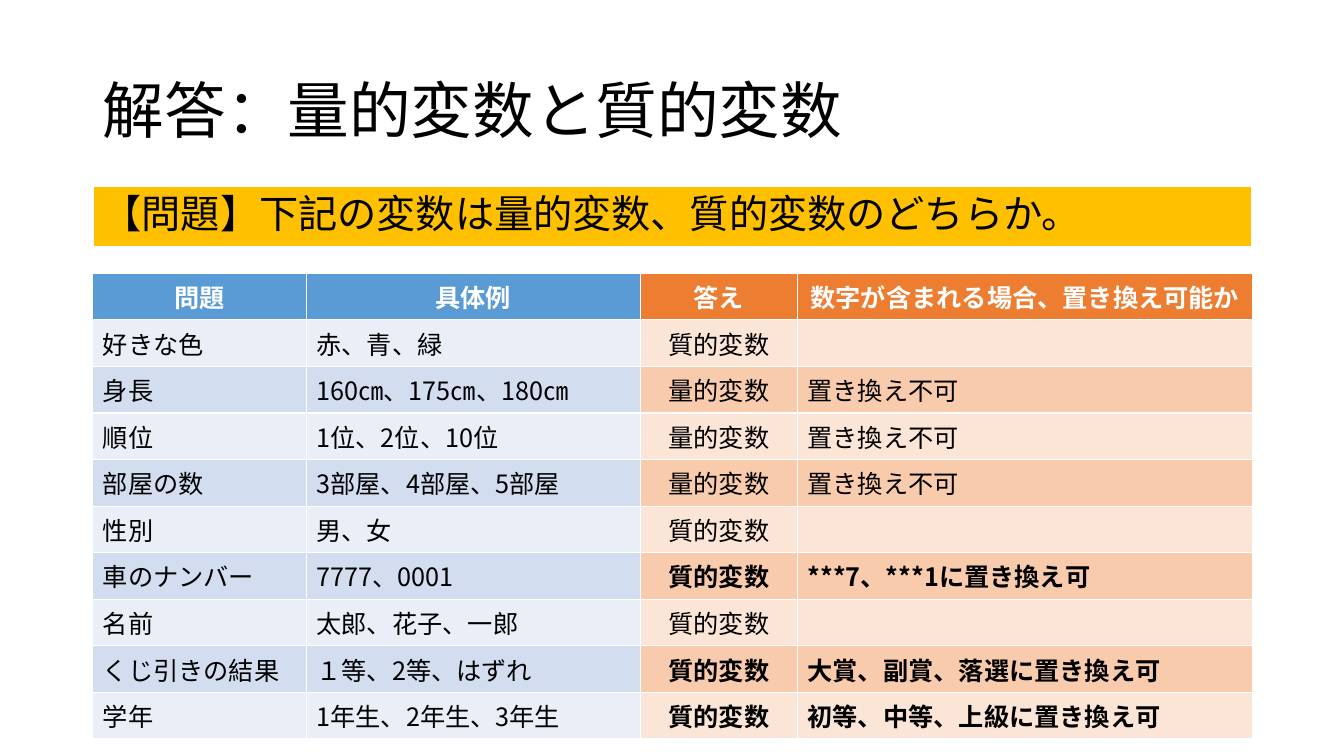
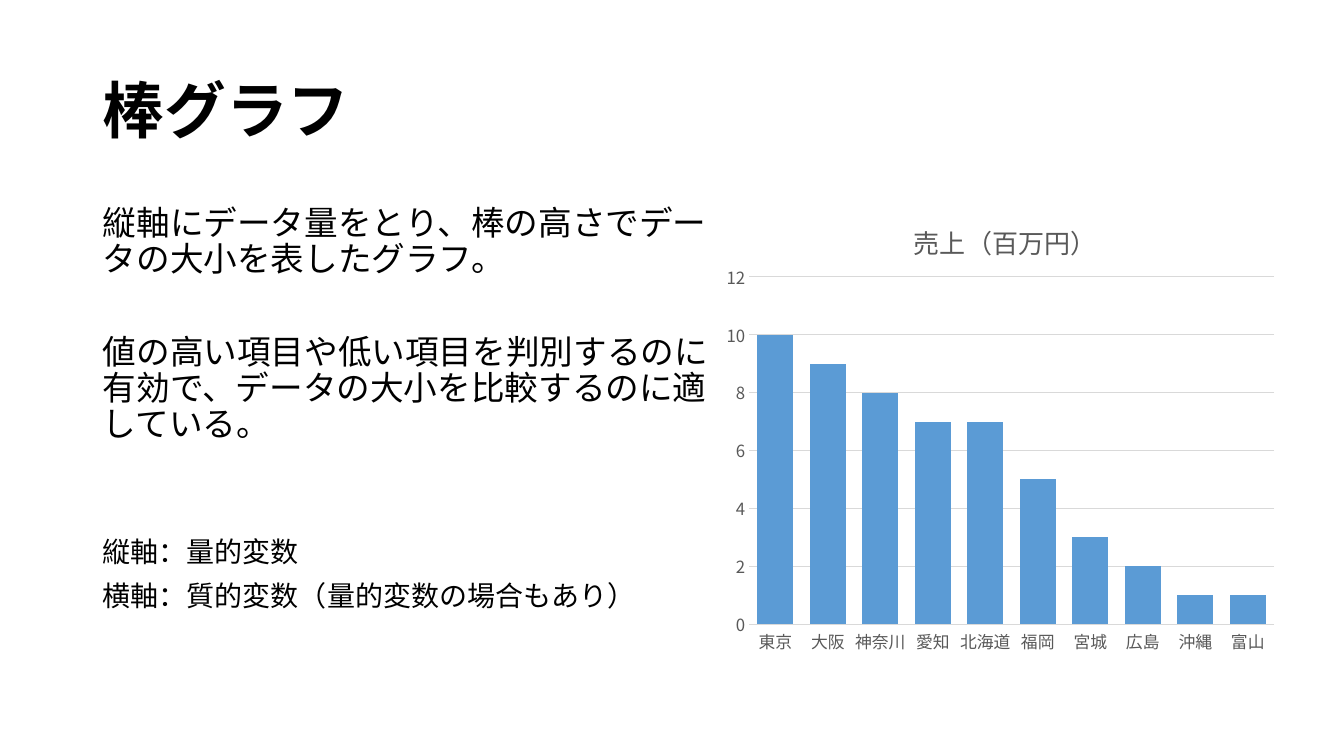
from lxml.etree import SubElement
from pptx import Presentation
from pptx.chart.data import CategoryChartData
from pptx.dml.color import RGBColor
from pptx.enum.chart import XL_CHART_TYPE as ChartType, XL_TICK_MARK as TickMark
from pptx.enum.shapes import MSO_SHAPE as Preset
from pptx.enum.text import MSO_ANCHOR as Anchor, MSO_AUTO_SIZE as AutoSize, PP_ALIGN as Align
from pptx.oxml import parse_xml
from pptx.oxml.ns import qn
from pptx.util import Inches, Pt

FONT = "Noto Sans CJK JP"
COLORS = {
    "text": "000000", "white": "FFFFFF", "band": "FFC000",
    "blue": "5B9BD5", "blue_light": "EAEFF7", "blue_mid": "D2DEEF",
    "orange": "ED7D31", "orange_light": "FBE5D6", "orange_mid": "F8CBAD",
    "label": "595959", "grid": "D9D9D9",
}
LEFT, WIDTH = 0.92, 11.5
CHART_NS = "http://schemas.openxmlformats.org/drawingml/2006/chart"

COLUMN_WIDTHS = [2.12, 3.31, 1.56, 4.51]
ROW_HEIGHT = 0.41
HEADER = ["問題", "具体例", "答え", "数字が含まれる場合、置き換え可能か"]
ANSWERS = [
    ["好きな色", "赤、青、緑", "質的変数", ""],
    ["身長", "160㎝、175㎝、180㎝", "量的変数", "置き換え不可"],
    ["順位", "1位、2位、10位", "量的変数", "置き換え不可"],
    ["部屋の数", "3部屋、4部屋、5部屋", "量的変数", "置き換え不可"],
    ["性別", "男、女", "質的変数", ""],
    ["車のナンバー", "7777、0001", "質的変数", "***7、***1に置き換え可"],
    ["名前", "太郎、花子、一郎", "質的変数", ""],
    ["くじ引きの結果", "１等、2等、はずれ", "質的変数", "大賞、副賞、落選に置き換え可"],
    ["学年", "1年生、2年生、3年生", "質的変数", "初等、中等、上級に置き換え可"],
]
SALES = {"東京": 10, "大阪": 9, "神奈川": 8, "愛知": 7, "北海道": 7,
         "福岡": 5, "宮城": 3, "広島": 2, "沖縄": 1, "富山": 1}


def rgb(name):
    return RGBColor.from_string(COLORS[name])


def style_font(font, size, color="text", bold=False):
    font.name = FONT
    font.size = Pt(size)
    font.bold = bold
    font.color.rgb = rgb(color)
    SubElement(font._element, qn("a:ea")).set("typeface", FONT)


def place(shape, left, top, width, height):
    shape.left, shape.top = Inches(left), Inches(top)
    shape.width, shape.height = Inches(width), Inches(height)


def write(text_frame, lines, size, bold=False, before=10, gap=10, anchor=Anchor.TOP):
    text_frame.text = "\n".join(lines)
    text_frame.word_wrap = True
    text_frame.auto_size = AutoSize.NONE
    text_frame.vertical_anchor = anchor
    for index, paragraph in enumerate(text_frame.paragraphs):
        paragraph.alignment = Align.LEFT
        paragraph.line_spacing = 0.9
        paragraph.space_before = Pt(gap if index else before)
        for run in paragraph.runs:
            style_font(run.font, size, bold=bold)


def add_slide(presentation, layout_index, title, bold=False):
    slide = presentation.slides.add_slide(presentation.slide_layouts[layout_index])
    place(slide.shapes.title, LEFT, 0.4, WIDTH, 1.45)
    write(slide.shapes.title.text_frame, [title], 44, bold, before=0, anchor=Anchor.MIDDLE)
    return slide


def add_band(slide, text):
    band = slide.shapes.add_shape(
        Preset.RECTANGLE, Inches(LEFT), Inches(1.84), Inches(WIDTH), Inches(0.61))
    band.shadow.inherit = False
    band.fill.solid()
    band.fill.fore_color.rgb = rgb("band")
    band.line.color.rgb = rgb("white")
    band.line.width = Pt(1.5)
    write(band.text_frame, [text], 28, anchor=Anchor.MIDDLE)


def add_borders(cell):
    properties = cell._tc.get_or_add_tcPr()
    for side in ("lnL", "lnR", "lnT", "lnB"):
        line = SubElement(properties, qn(f"a:{side}"), w=str(Pt(1)))
        fill = SubElement(line, qn("a:solidFill"))
        SubElement(fill, qn("a:srgbClr"), val=COLORS["white"])


def fill_cell(cell, text, fill, color, bold, centered):
    add_borders(cell)
    cell.fill.solid()
    cell.fill.fore_color.rgb = rgb(fill)
    cell.text_frame.text = text
    paragraph = cell.text_frame.paragraphs[0]
    paragraph.alignment = Align.CENTER if centered else Align.LEFT
    for run in paragraph.runs:
        style_font(run.font, 18, color, bold)


def add_answer_table(slide):
    rows = [HEADER] + ANSWERS
    table = slide.shapes.add_table(
        len(rows), len(HEADER), Inches(LEFT), Inches(2.71),
        Inches(WIDTH), Inches(ROW_HEIGHT * len(rows))).table
    for column, width in zip(table.columns, COLUMN_WIDTHS):
        column.width = Inches(width)
    for row_index, values in enumerate(rows):
        table.rows[row_index].height = Inches(ROW_HEIGHT)
        is_header = row_index == 0
        shade = "" if is_header else ("_light" if row_index % 2 else "_mid")
        replaceable = values[-1].endswith("置き換え可")
        for column_index, text in enumerate(values):
            is_answer = column_index >= 2
            fill_cell(
                table.cell(row_index, column_index), text,
                ("orange" if is_answer else "blue") + shade,
                "white" if is_header else "text",
                is_header or (is_answer and replaceable),
                is_header or column_index == 2)


def set_layout(element, index, **fractions):
    for layout in element.findall(qn("c:layout")):
        element.remove(layout)
    target = '<c:layoutTarget val="inner"/>' if "w" in fractions else ""
    modes = '<c:xMode val="edge"/><c:yMode val="edge"/>'
    sizes = "".join(f'<c:{key} val="{value}"/>' for key, value in fractions.items())
    element.insert(index, parse_xml(
        f'<c:layout xmlns:c="{CHART_NS}"><c:manualLayout>'
        f"{target}{modes}{sizes}</c:manualLayout></c:layout>"))


def style_line(line):
    line.color.rgb = rgb("grid")
    line.width = Pt(0.75)


def add_sales_chart(slide):
    data = CategoryChartData()
    data.categories = list(SALES)
    data.add_series("売上（百万円）", list(SALES.values()))
    chart = slide.shapes.add_chart(
        ChartType.COLUMN_CLUSTERED, Inches(7.09), Inches(1.85),
        Inches(5.66), Inches(4.72), data).chart
    style_font(chart.font, 10)
    chart.has_legend = False

    chart.has_title = True
    title = chart.chart_title
    title.text_frame.text = "売上（百万円）"
    style_font(title.text_frame.paragraphs[0].runs[0].font, 18.6, "label")
    set_layout(title._element, 1, x=0.34, y=0.06)

    plot = chart.plots[0]
    plot.gap_width, plot.overlap = 46, 43
    plot.vary_by_categories = False
    bars = plot.series[0]
    bars.format.fill.solid()
    bars.format.fill.fore_color.rgb = rgb("blue")
    set_layout(chart._chartSpace.chart.plotArea, 0, x=0.06, y=0.19, w=0.92, h=0.73)

    for axis in (chart.category_axis, chart.value_axis):
        axis.major_tick_mark = axis.minor_tick_mark = TickMark.NONE
        style_font(axis.tick_labels.font, 12, "label")
    style_line(chart.category_axis.format.line)
    values = chart.value_axis
    values.minimum_scale, values.maximum_scale, values.major_unit = 0, 12, 2
    values.format.line.fill.background()
    style_line(values.major_gridlines.format.line)


def add_description(slide, lines):
    body = slide.placeholders[1]
    place(body, LEFT, 2, 6.27, 4.76)
    write(body.text_frame, lines, 24, gap=40)
    for paragraph in body.text_frame.paragraphs:
        properties = paragraph._p.get_or_add_pPr()
        properties.set("marL", "0")
        properties.set("indent", "0")
        SubElement(properties, qn("a:buNone"))


def add_axis_notes(slide, lines):
    notes = slide.shapes.add_textbox(
        Inches(LEFT), Inches(5.29), Inches(6.27), Inches(1.14))
    write(notes.text_frame, lines, 20)


def main():
    presentation = Presentation()
    presentation.slide_width, presentation.slide_height = Inches(13.33), Inches(7.5)

    answers = add_slide(presentation, 5, "解答：量的変数と質的変数")
    add_band(answers, "【問題】下記の変数は量的変数、質的変数のどちらか。")
    add_answer_table(answers)

    bar_chart = add_slide(presentation, 1, "棒グラフ", bold=True)
    add_description(bar_chart, [
        "縦軸にデータ量をとり、棒の高さでデータの大小を表したグラフ。",
        "値の高い項目や低い項目を判別するのに有効で、データの大小を比較するのに適している。",
    ])
    add_sales_chart(bar_chart)
    add_axis_notes(bar_chart, ["縦軸：量的変数", "横軸：質的変数（量的変数の場合もあり）"])

    presentation.save("out.pptx")


main()
